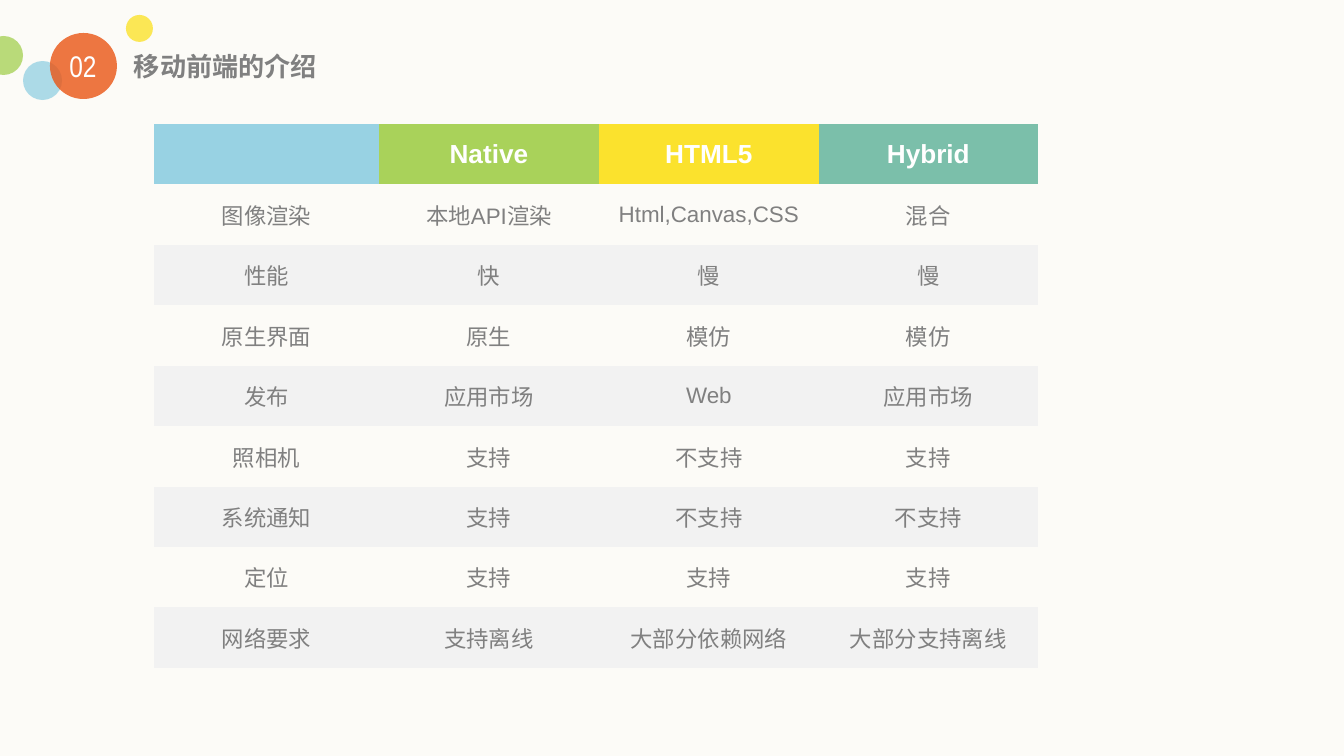
from lxml.etree import SubElement
from pptx import Presentation
from pptx.dml.color import RGBColor
from pptx.enum.shapes import MSO_SHAPE
from pptx.enum.text import MSO_ANCHOR, MSO_AUTO_SIZE, PP_ALIGN
from pptx.oxml.ns import qn
from pptx.util import Emu, Pt

SLIDE_WIDTH, SLIDE_HEIGHT = 1344, 756
EMU_PER_PX = 9144000 / SLIDE_WIDTH
NO_TABLE_STYLE = "{2D5ABB26-0587-4C30-8999-92F81FD0307C}"

COLORS = {
    "background": "FCFBF7",
    "blue": "98D2E3",
    "green": "A9D25A",
    "yellow": "FBE22D",
    "teal": "7BBFAA",
    "orange": "EA5514",
    "band": "F2F2F2",
    "gray": "808080",
    "white": "FFFFFF",
}

HEADER_COLORS = ["blue", "green", "yellow", "teal"]
COLUMN_WIDTHS = [225, 220, 220, 219]
TABLE_HEIGHT = 544
COMPARISON = [
    ["", "Native", "HTML5", "Hybrid"],
    ["图像渲染", "本地API渲染", "Html,Canvas,CSS", "混合"],
    ["性能", "快", "慢", "慢"],
    ["原生界面", "原生", "模仿", "模仿"],
    ["发布", "应用市场", "Web", "应用市场"],
    ["照相机", "支持", "不支持", "支持"],
    ["系统通知", "支持", "不支持", "不支持"],
    ["定位", "支持", "支持", "支持"],
    ["网络要求", "支持离线", "大部分依赖网络", "大部分支持离线"],
]

# Left, top, width, height, color
CIRCLES = [
    (126, 15, 27, 27, "yellow"),
    (-16, 36, 39, 39, "green"),
    (23, 61, 39, 39, "blue"),
    (50, 33, 67, 66, "orange"),
]


def px(length):
    return Emu(round(length * EMU_PER_PX))


def set_fill(fill, color):
    fill.solid()
    fill.fore_color.rgb = RGBColor.from_string(COLORS[color])


def write_text(text_frame, text, *, size, color, font="Arial", bold=False,
               align=PP_ALIGN.LEFT):
    paragraph = text_frame.paragraphs[0]
    paragraph.alignment = align
    run = paragraph.add_run()
    run.text = text
    run.font.name = font
    run.font.size = Pt(size)
    run.font.bold = bold
    run.font.color.rgb = RGBColor.from_string(COLORS[color])


def add_label(slide, left, top, width, height, text, **text_format):
    box = slide.shapes.add_textbox(px(left), px(top), px(width), px(height))
    frame = box.text_frame
    frame.margin_left = frame.margin_right = 0
    frame.margin_top = frame.margin_bottom = 0
    frame.word_wrap = True
    frame.auto_size = MSO_AUTO_SIZE.SHAPE_TO_FIT_TEXT
    write_text(frame, text, **text_format)


def add_circle(slide, left, top, width, height, color, opacity=80):
    circle = slide.shapes.add_shape(
        MSO_SHAPE.OVAL, px(left), px(top), px(width), px(height))
    circle.shadow.inherit = False
    circle.line.fill.background()
    set_fill(circle.fill, color)
    color_element = circle.element.spPr.find(qn("a:solidFill"))[0]
    SubElement(color_element, qn("a:alpha"), val=str(opacity * 1000))


def format_cell(cell, text, row_index, column_index):
    cell.vertical_anchor = MSO_ANCHOR.MIDDLE
    cell.margin_top = cell.margin_bottom = 0
    is_header = row_index == 0
    if is_header:
        set_fill(cell.fill, HEADER_COLORS[column_index])
    elif row_index % 2 == 0:
        set_fill(cell.fill, "band")
    else:
        cell.fill.background()
    if text:
        write_text(cell.text_frame, text, size=14 if is_header else 12,
                   color="white" if is_header else "gray",
                   bold=is_header, align=PP_ALIGN.CENTER)


def add_comparison_table(slide, left, top):
    frame = slide.shapes.add_table(
        len(COMPARISON), len(COLUMN_WIDTHS), px(left), px(top),
        px(sum(COLUMN_WIDTHS)), px(TABLE_HEIGHT))
    table = frame.table
    table.horz_banding = False
    frame.element.find(".//" + qn("a:tableStyleId")).text = NO_TABLE_STYLE
    for column, width in zip(table.columns, COLUMN_WIDTHS):
        column.width = px(width)
    for row_index, texts in enumerate(COMPARISON):
        table.rows[row_index].height = px(TABLE_HEIGHT / len(COMPARISON))
        for column_index, text in enumerate(texts):
            format_cell(table.cell(row_index, column_index), text,
                        row_index, column_index)


def main():
    presentation = Presentation()
    presentation.slide_width = px(SLIDE_WIDTH)
    presentation.slide_height = px(SLIDE_HEIGHT)
    slide = presentation.slides.add_slide(presentation.slide_layouts[6])
    set_fill(slide.background.fill, "background")

    # Comparison of the three approaches
    add_comparison_table(slide, 154, 124)

    # Section number among circles, and title
    for circle in CIRCLES:
        add_circle(slide, *circle)
    add_label(slide, 59, 48, 48, 36, "02", size=16, color="white",
              font="Arial Narrow", align=PP_ALIGN.CENTER)
    add_label(slide, 134, 50, 409, 32, "移动前端的介绍", size=14,
              color="gray", font="Arial Narrow", bold=True)

    presentation.save("out.pptx")


if __name__ == "__main__":
    main()
